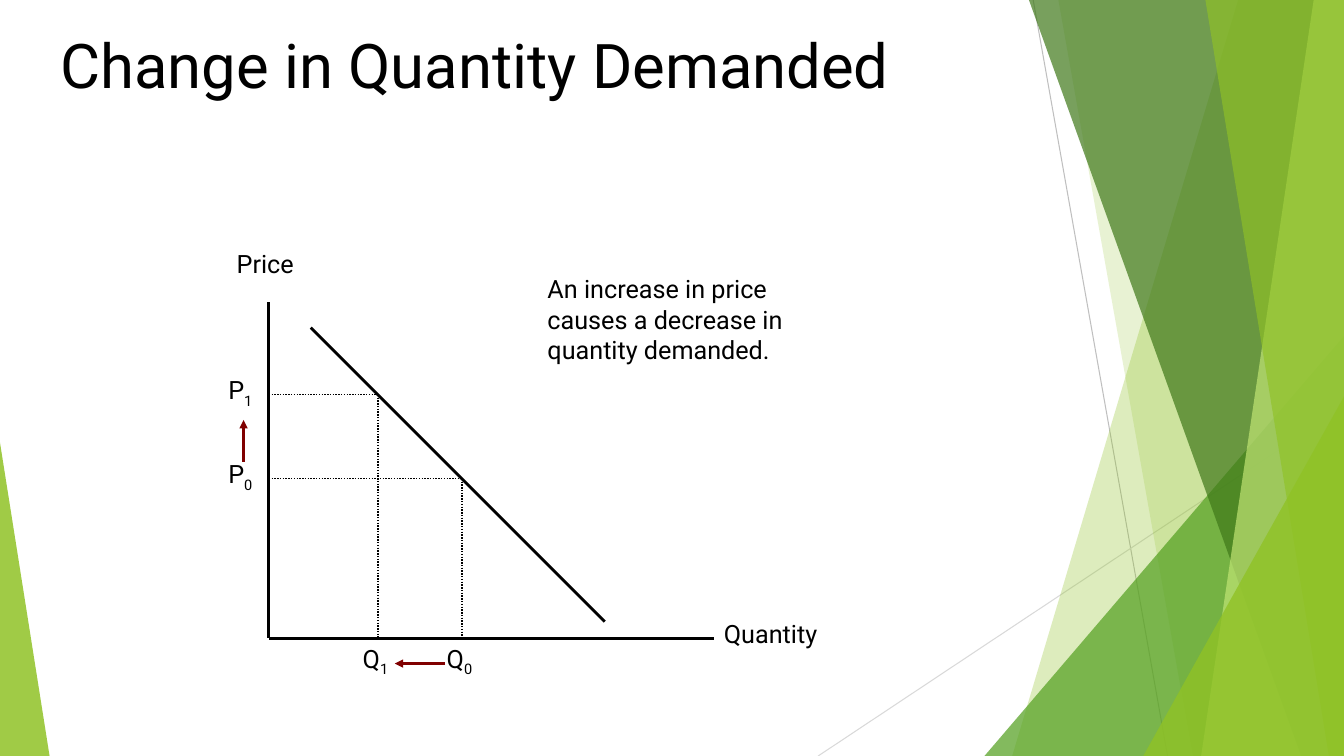
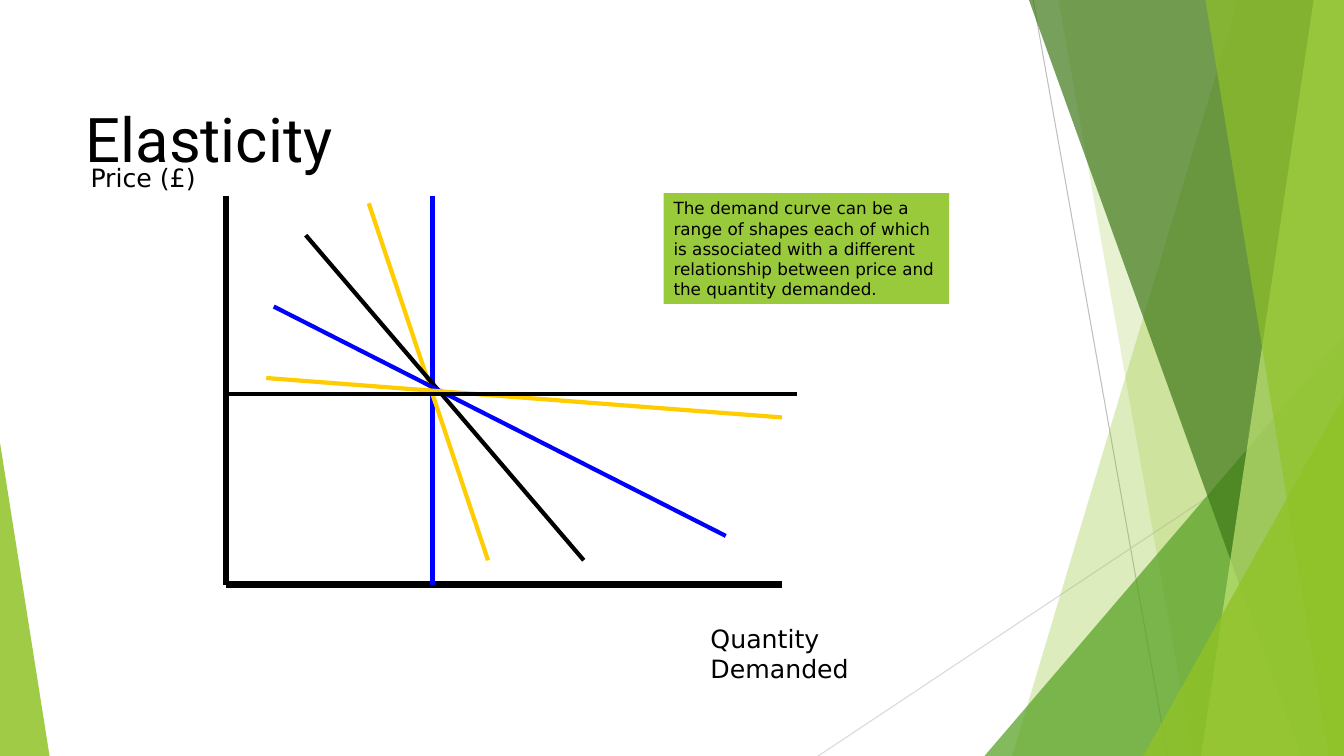
from lxml import etree
from pptx import Presentation
from pptx.dml.color import RGBColor
from pptx.enum.dml import MSO_LINE
from pptx.enum.shapes import MSO_CONNECTOR, MSO_SHAPE
from pptx.enum.text import MSO_ANCHOR, MSO_AUTO_SIZE, PP_ALIGN
from pptx.oxml.ns import qn
from pptx.util import Inches, Pt

BLACK = RGBColor(0x00, 0x00, 0x00)
BLUE = RGBColor(0x00, 0x00, 0xFF)
AMBER = RGBColor(0xFF, 0xCC, 0x00)
MAROON = RGBColor(0x80, 0x00, 0x00)
LIME = RGBColor(0x90, 0xC2, 0x26)
PALE_LIME = RGBColor(0xC0, 0xE4, 0x74)
NOTE_LIME = RGBColor(0x99, 0xCA, 0x3C)
GREEN = RGBColor(0x54, 0xA0, 0x21)
FOREST = RGBColor(0x3F, 0x78, 0x19)
GREY = RGBColor(0xBF, 0xBF, 0xBF)
PALE_GREY = RGBColor(0xD9, 0xD9, 0xD9)

STRAIGHT = MSO_CONNECTOR.STRAIGHT
DOTTED = MSO_LINE.ROUND_DOT
TRIANGLE, RECTANGLE = MSO_SHAPE.ISOSCELES_TRIANGLE, MSO_SHAPE.RECTANGLE
TOP, MIDDLE = MSO_ANCHOR.TOP, MSO_ANCHOR.MIDDLE
FIXED = MSO_AUTO_SIZE.NONE
LEFT = PP_ALIGN.LEFT

COLUMNS, ROWS = 160, 90  # each cell is a twelfth of an inch
TITLE_FONT = {"name": "Roboto", "size": Pt(44)}
GRAPH_FONT = {"name": "Roboto", "size": Pt(18)}
AXIS_FONT = {"name": "DejaVu Sans", "size": Pt(18)}
NOTE_FONT = {"name": "DejaVu Sans", "size": Pt(12)}


def cells(*counts):
    return [Inches(count / 12) for count in counts]


class Slides:
    """Holds the deck, its backdrop and the slide being drawn."""

    def __init__(self):
        self.deck = Presentation()
        self.deck.slide_width, self.deck.slide_height = cells(COLUMNS, ROWS)
        self.layout = self.deck.slide_layouts[5]
        self.slide = None

    def start(self, title, place, anchor=TOP):
        first = self.slide is None
        self.slide = self.deck.slides.add_slide(self.layout)
        if first:
            self.backdrop()
        box = self.slide.shapes.title
        box.left, box.top, box.width, box.height = cells(*place)
        self.fill_text(box, title, TITLE_FONT, anchor)
        box.text_frame.paragraphs[0].line_spacing = 0.9

    def backdrop(self):
        """Draws the green bands and moves them to the shared layout."""
        parts = [
            self.line((123, 0), (139, ROWS), GREY, 0.75),
            self.line((COLUMNS, 48.4), (97.4, ROWS), PALE_GREY, 0.75),
            self.band(147.4, 120.5, LIME, 30),
            self.band(126, 142, LIME, 20),
            self.triangle((117.2, 40, 42.8, 50), 1, GREEN, 72),
            self.band(122.5, 154.9, FOREST, 70),
            self.band(156.4, 143, PALE_LIME, 70),
            self.band(143.5, 158.2, LIME, 65),
            self.triangle((136.1, 47.2, 23.9, 42.8), 1, LIME, 80),
            self.triangle((0, 52.7, 5.9, 37.3), 0, LIME, 85),
        ]
        for number, part in enumerate(parts, start=100):
            part.element.find(".//" + qn("p:cNvPr")).set("id", str(number))
            self.layout.shapes.element.append(part.element)

    def paint(self, shape, color, opacity=100):
        shape.shadow.inherit = False
        shape.fill.solid()
        shape.fill.fore_color.rgb = color
        shape.line.fill.background()
        if opacity < 100:
            tint = shape.element.spPr.find(qn("a:solidFill"))[0]
            etree.SubElement(tint, qn("a:alpha"), val=str(opacity * 1000))
        return shape

    def band(self, top, foot, color, opacity):
        """Fills from a slanted left edge to the right side of the slide."""
        outline = self.slide.shapes.build_freeform(*cells(top, 0))
        corners = [(COLUMNS, 0), (COLUMNS, ROWS), (foot, ROWS)]
        outline.add_line_segments([cells(*corner) for corner in corners])
        return self.paint(outline.convert_to_shape(), color, opacity)

    def triangle(self, place, apex, color, opacity):
        shape = self.slide.shapes.add_shape(TRIANGLE, *cells(*place))
        shape.adjustments[0] = apex
        return self.paint(shape, color, opacity)

    def line(self, start, end, color=BLACK, width=2, dash=None, arrow=False):
        line = self.slide.shapes.add_connector(STRAIGHT, *cells(*start, *end))
        line.line.color.rgb = color
        line.line.width = Pt(width)
        if dash:
            line.line.dash_style = dash
        properties = line.element.spPr
        if arrow:
            outline = properties.find(qn("a:ln"))
            etree.SubElement(outline, qn("a:tailEnd"), type="triangle")
        etree.SubElement(properties, qn("a:effectLst"))
        return line

    def fill_text(self, box, text, style, anchor=TOP, subscript=""):
        frame = box.text_frame
        settings = {"word_wrap": True, "auto_size": FIXED,
                    "vertical_anchor": anchor}
        for name, value in settings.items():
            setattr(frame, name, value)
        para = frame.paragraphs[0]
        para.alignment = LEFT
        for part in filter(None, (text, subscript)):
            span = para.add_run()
            span.text = part
            for name, value in style.items():
                setattr(span.font, name, value)
            span.font.color.rgb = BLACK
        if subscript:
            span.font._element.set("baseline", "-25000")

    def label(self, text, place, style, subscript=""):
        box = self.slide.shapes.add_textbox(*cells(*place))
        self.fill_text(box, text, style, subscript=subscript)

    def panel(self, text, place, color, style):
        box = self.slide.shapes.add_shape(RECTANGLE, *cells(*place))
        self.fill_text(self.paint(box, color), text, style)


def quantity_demanded(slides):
    slides.start("Change in Quantity Demanded", (6, 3.6, 108, 15))
    left, base = 32, 76
    slides.line((left, 36), (left, base))
    slides.line((85, base), (left, base))
    slides.label("Quantity", (85, 73, 16.4, 6), GRAPH_FONT)
    slides.label("Price", (27, 29, 10.7, 6), GRAPH_FONT)
    slides.line((37, 39), (72, 74))
    for index, price in (("0", 57), ("1", 47)):
        quantity = price - 2
        slides.line((left, price), (quantity, price), width=1, dash=DOTTED)
        slides.line((quantity, price), (quantity, base), width=1, dash=DOTTED)
        slides.label("P", (26, price - 3, 6, 6), GRAPH_FONT, index)
        slides.label("Q", (quantity - 3, base, 6.6, 6), GRAPH_FONT, index)
    for start, end in (((29, 55), (29, 50)), ((53, 79), (47, 79))):
        slides.line(start, end, MAROON, arrow=True)
    slides.label("An increase in price causes a decrease in quantity demanded.",
                 (64, 32, 37, 15.6), GRAPH_FONT)


def elasticity(slides):
    slides.start("Elasticity", (9, 12, 102, 10), MIDDLE)
    left, top, right, base = 26.9, 23.3, 93.1, 69.6
    for end in ((left, top), (right, base)):
        slides.line(end, (left, base), width=4.5)
    curves = [
        ((51.5, top), (51.5, base), BLUE),
        ((43.9, 24.2), (58.1, 66.7), AMBER),
        ((36.4, 28), (69.5, 66.7), BLACK),
        ((32.6, 36.5), (86.4, 63.8), BLUE),
        ((31.7, 45), (right, 49.7), AMBER),
        ((left, 46.9), (94.9, 46.9), BLACK),
    ]
    for start, end, color in curves:
        slides.line(start, end, color, 3)
    slides.label("Price (£)", (9.6, 18.7, 15.6, 4.8), AXIS_FONT)
    slides.label("Quantity Demanded", (83.4, 73.6, 20, 8), AXIS_FONT)
    slides.panel("The demand curve can be a range of shapes each of which is "
                 "associated with a different relationship between price and "
                 "the quantity demanded.",
                 (79, 23, 34, 13.2), NOTE_LIME, NOTE_FONT)


def main():
    slides = Slides()
    quantity_demanded(slides)
    elasticity(slides)
    slides.deck.save("out.pptx")


if __name__ == "__main__":
    main()
